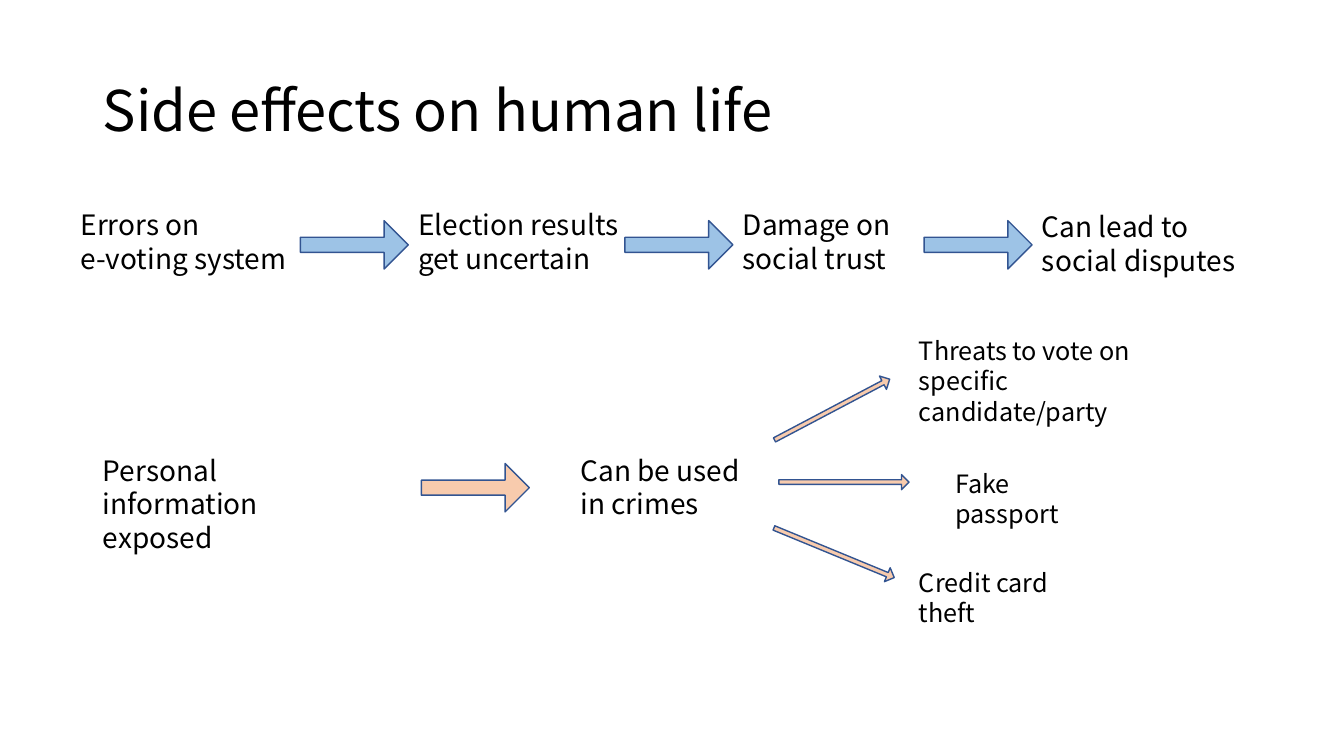
from pptx import Presentation
from pptx import util as u
from pptx.dml import color
from pptx.enum import shapes, text

COLORS = {"text": "000000", "blue": "9DC3E6", "peach": "F8CBAD", "edge": "325491"}
FONT = "Noto Sans CJK KR"

prs = Presentation()
prs.slide_width, prs.slide_height = u.Cm(33.87), u.Cm(19.05)
s = prs.slides.add_slide(prs.slide_layouts[6])


def add_text(lines, x, y, w, h, size=20):
    sp = s.shapes.add_textbox(u.Cm(x), u.Cm(y), u.Cm(w), u.Cm(h))
    tf = sp.text_frame
    tf.word_wrap = True
    for i, line in enumerate(lines):
        p = tf.add_paragraph() if i else tf.paragraphs[0]
        r = p.add_run()
        r.text = line
        r.font.name, r.font.size = FONT, u.Pt(size)
        r.font.color.rgb = color.RGBColor.from_string(COLORS["text"])
    return tf


def add_arrow(x, y, fill, w=2.72, h=1.22, angle=0):
    sp = s.shapes.add_shape(shapes.MSO_SHAPE.RIGHT_ARROW, u.Cm(x), u.Cm(y), u.Cm(w), u.Cm(h))
    sp.adjustments[0] = 0.31
    sp.rotation = angle
    sp.shadow.inherit = False
    sp.fill.solid()
    sp.fill.fore_color.rgb = color.RGBColor.from_string(COLORS[fill])
    sp.line.color.rgb = color.RGBColor.from_string(COLORS["edge"])
    sp.line.width = u.Pt(1)


title = add_text(["Side effects on human life"], 2.34, 1.02, 29.21, 3.68, 40)
title.vertical_anchor = text.MSO_ANCHOR.MIDDLE
title.paragraphs[0].line_spacing = 0.9

# Chain of voting errors: each arrow ends where the next step begins
steps = [
    (["Errors on", "e-voting system"], 1.78, 5.11, 6.27),
    (["Election results get uncertain"], 10.29, 5.11, 5.84),
    (["Damage on social trust"], 18.47, 5.11, 5.11),
    (["Can lead to social disputes"], 26.01, 5.16, 5.66),
]
for i, (lines, x, y, w) in enumerate(steps):
    add_text(lines, x, y, w, 1.96)
    if i:
        add_arrow(x - 2.72, 5.56, "blue")

# Exposed personal information and the crimes it enables
add_text(["Personal information exposed"], 2.34, 11.3, 7.26, 1.96)
add_arrow(10.62, 11.68, "peach")
add_text(["Can be used in crimes"], 14.38, 11.3, 5.11, 1.96)

crimes = [
    (["Threats to vote on", "specific candidate/party"], 22.91, 8.33, 7.44, 1.8),
    (["Fake passport"], 23.83, 11.68, 4.52, 1.02),
    (["Credit card theft"], 22.91, 14.17, 5.31, 1.02),
]
branches = [(19.33, 10.13, 332.2), (19.63, 11.96, 0), (19.38, 13.74, 22.4)]
for crime, (x, y, angle) in zip(crimes, branches):
    add_text(*crime, size=18)
    add_arrow(x, y, "peach", 3.28, 0.38, angle)

prs.save("out.pptx")
